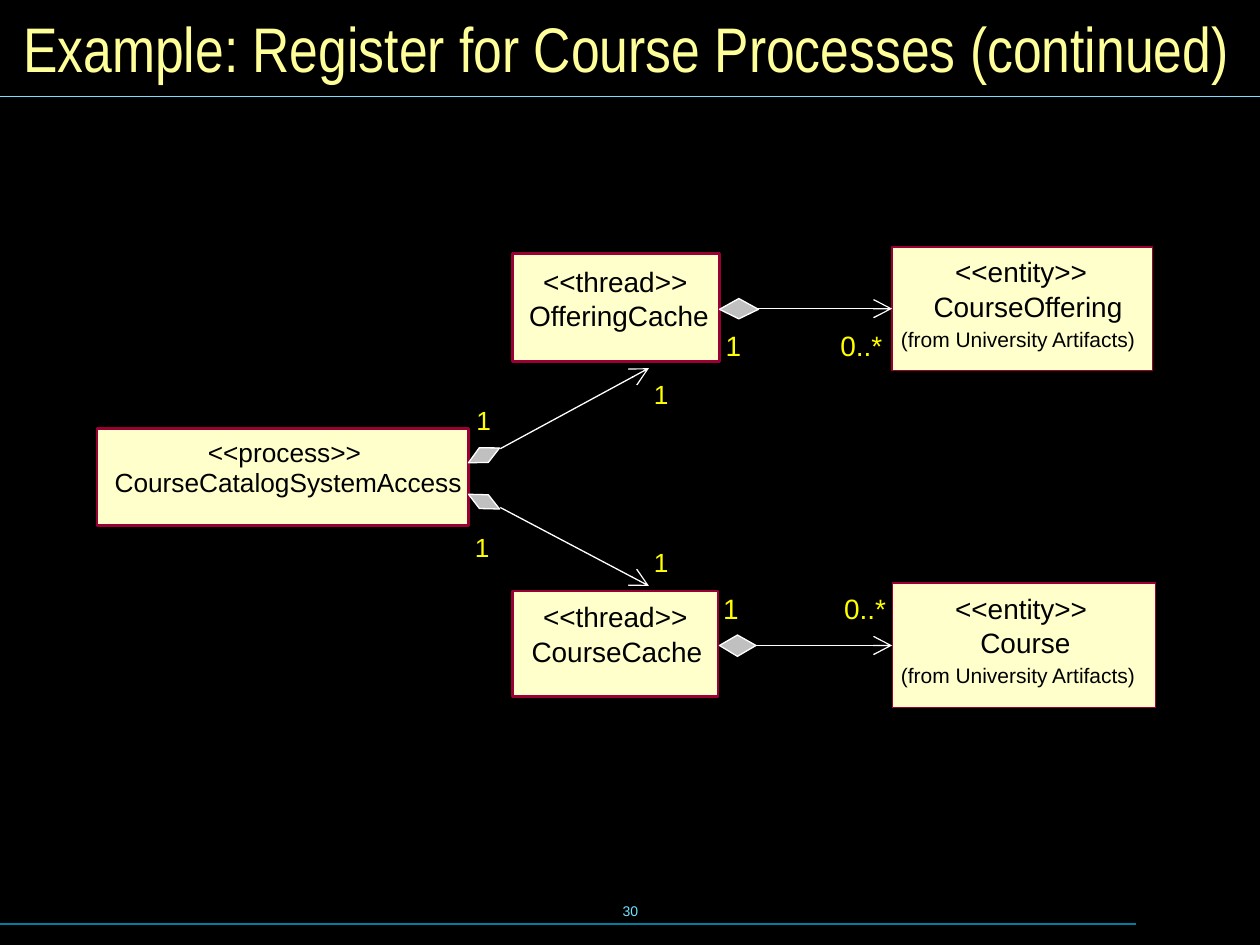
from dataclasses import dataclass

from lxml import etree
from pptx import Presentation
from pptx import util as u
from pptx.dml.color import RGBColor
from pptx.enum import shapes, text
from pptx.oxml import ns

BLACK, WHITE, YELLOW = "000000", "FFFFFF", "FFFF00"
CREAM, CRIMSON, SILVER = "FFFFCC", "990033", "C0C0C0"
SKY, TEAL, TITLE_YELLOW = "73E1FF", "007E9F", "FFFF99"


@dataclass
class Label:
    wording: str
    left: float
    top: float
    width: float
    size: float = 16
    color: str = BLACK


@dataclass
class ClassBox:
    left: float
    top: float
    width: float
    height: float
    border: float
    labels: list[Label]


@dataclass
class Diamond:
    points: list[tuple[float, float]]
    rotation: float = 0


def rgb(value: str) -> RGBColor:
    return RGBColor.from_string(value)


def set_all(target, values: dict) -> None:
    for name, value in values.items():
        setattr(target, name, value)


def style_text(shape, wording: str, size: float, color: str, font: str = "Arial",
               align=text.PP_ALIGN.LEFT, **frame_values) -> None:
    frame = shape.text_frame
    frame.text = wording
    set_all(frame, frame_values)
    paragraph = frame.paragraphs[0]
    paragraph.alignment = align
    set_all(paragraph.font, {"size": u.Pt(size), "name": font})
    paragraph.font.color.rgb = rgb(color)


def paint(shape, fill: str, line: str, width: float) -> None:
    shape.shadow.inherit = False
    shape.fill.solid()
    shape.fill.fore_color.rgb = rgb(fill)
    shape.line.color.rgb = rgb(line)
    shape.line.width = u.Pt(width)


def add_label(slide, label: Label) -> None:
    box = slide.shapes.add_textbox(u.Pt(label.left), u.Pt(label.top),
                                   u.Pt(label.width), u.Pt(label.size * 1.2))
    margins = dict.fromkeys(("margin_left", "margin_top", "margin_right", "margin_bottom"), 0)
    style_text(box, label.wording, label.size, label.color, word_wrap=False,
               auto_size=text.MSO_AUTO_SIZE.SHAPE_TO_FIT_TEXT, **margins)


def add_class(slide, box: ClassBox):
    rectangle = slide.shapes.add_shape(shapes.MSO_SHAPE.RECTANGLE, u.Pt(box.left), u.Pt(box.top),
                                       u.Pt(box.width), u.Pt(box.height))
    paint(rectangle, CREAM, CRIMSON, box.border)
    for label in box.labels:
        add_label(slide, label)
    return rectangle


def add_diamond(slide, diamond: Diamond) -> None:
    start, *rest = [(u.Pt(x), u.Pt(y)) for x, y in diamond.points]
    builder = slide.shapes.build_freeform(*start, scale=1.0)
    builder.add_line_segments(rest, close=True)
    outline = builder.convert_to_shape()
    paint(outline, SILVER, WHITE, 0)
    outline.rotation = diamond.rotation


def add_line(slide, start: tuple[float, float], end: tuple[float, float],
             color: str = WHITE, arrow: bool = False):
    line = slide.shapes.add_connector(shapes.MSO_CONNECTOR.STRAIGHT,
                                      *(u.Pt(value) for value in start + end))
    line.line.color.rgb = rgb(color)
    line.line.width = u.Pt(0.75)
    properties = line.line._get_or_add_ln()
    if arrow:
        etree.SubElement(properties, ns.qn("a:tailEnd"), type="arrow", w="lg", len="lg")
    etree.SubElement(line._element.spPr, ns.qn("a:effectLst"))
    return line


def entity(top: float, width: float, height: float, name: Label) -> ClassBox:
    return ClassBox(509.8, top, width, height, 0, [
        Label("<<entity>>", 545.8, top + 4.6, 75.6),
        name,
        Label("(from University Artifacts)", 514.8, top + 45.3, 134.6, 12)])


# Class boxes with their stereotypes and names
process = ClassBox(55.4, 244.8, 212.4, 55.4, 1.5, [
    Label("<<process>>", 118.8, 249.1, 87.8, 15),
    Label("CourseCatalogSystemAccess", 65.5, 266.6, 198.7, 15)])
offering_cache = ClassBox(293, 144.7, 118.1, 61.9, 1.5, [
    Label("<<thread>>", 310.3, 151.2, 82.8),
    Label("OfferingCache", 302.4, 170.6, 103)])
course_cache = ClassBox(293, 337.7, 117.4, 60.5, 1.5, [
    Label("<<thread>>", 310.3, 342.7, 82.8),
    Label("CourseCache", 303.8, 362.7, 97.9)])
course_offering = entity(141.1, 149, 70.6, Label("CourseOffering", 533.5, 165.6, 108))
course = entity(333.2, 150.5, 71.3, Label("Course", 560.2, 357.7, 51.8))

# Multiplicities beside the line ends
MULTIPLICITIES = [
    Label("1", 413.3, 337.9, 8.9, 16, YELLOW), Label("0..*", 482.4, 337.9, 26, 16, YELLOW),
    Label("1", 414.7, 187.9, 8.9, 16, YELLOW), Label("0..*", 480.2, 187.9, 26, 16, YELLOW),
    Label("1", 271.4, 303.3, 8.6, 15, YELLOW), Label("1", 373.7, 312, 8.6, 15, YELLOW),
    Label("1", 272.2, 231.1, 8.6, 15, YELLOW), Label("1", 373.7, 216, 8.6, 15, YELLOW)]

# Aggregation diamonds at the owning side
DIAMONDS = [
    Diamond([(411.1, 368.9), (421.4, 375.1), (432, 368.9), (421.4, 362.9)]),
    Diamond([(411.1, 176.8), (422.2, 182.2), (433.4, 176.8), (422.2, 170.6)]),
    Diamond([(267.3, 263.5), (278.6, 264.5), (285.9, 257), (274.4, 255.6)], 353.7),
    Diamond([(267.3, 283.5), (278.6, 282.5), (285.9, 289.9), (274.4, 290.9)], 6.5)]


def main() -> None:
    deck = Presentation()
    set_all(deck, {"slide_width": u.Pt(720), "slide_height": u.Pt(540)})
    slide = deck.slides.add_slide(deck.slide_layouts[5])
    slide.background.fill.solid()
    slide.background.fill.fore_color.rgb = rgb(BLACK)

    # Title, rules and page number
    title = slide.shapes.title
    set_all(title, {"left": u.Pt(6), "top": u.Pt(6), "width": u.Pt(708.5), "height": u.Pt(41.8)})
    style_text(title, "Example: Register for Course Processes (continued)", 36, TITLE_YELLOW,
               "Arial Narrow", vertical_anchor=text.MSO_ANCHOR.MIDDLE,
               auto_size=text.MSO_AUTO_SIZE.NONE)
    add_line(slide, (0, 55), (720, 55), SKY)
    add_line(slide, (0, 528), (649.4, 528), TEAL)
    page_number = slide.shapes.add_textbox(u.Pt(246.2), u.Pt(502.6), u.Pt(228.2), u.Pt(36))
    style_text(page_number, "30", 8, SKY, align=text.PP_ALIGN.CENTER, word_wrap=False,
               vertical_anchor=text.MSO_ANCHOR.MIDDLE)

    # Classes
    for box in (process, offering_cache, course_cache):
        add_class(slide, box)
    entities = [(box, add_class(slide, box)) for box in (course_offering, course)]

    # Associations
    for label in MULTIPLICITIES:
        add_label(slide, label)
    for diamond in DIAMONDS:
        add_diamond(slide, diamond)
    add_line(slide, (285.9, 256.4), (370.8, 210.4), arrow=True)
    add_line(slide, (285.9, 290), (370.8, 334.8), arrow=True)
    for box, rectangle in entities:
        middle = box.top + box.height / 2
        association = add_line(slide, (432, middle), (box.left, middle), arrow=True)
        association.end_connect(rectangle, 1)

    deck.save("out.pptx")


if __name__ == "__main__":
    main()
